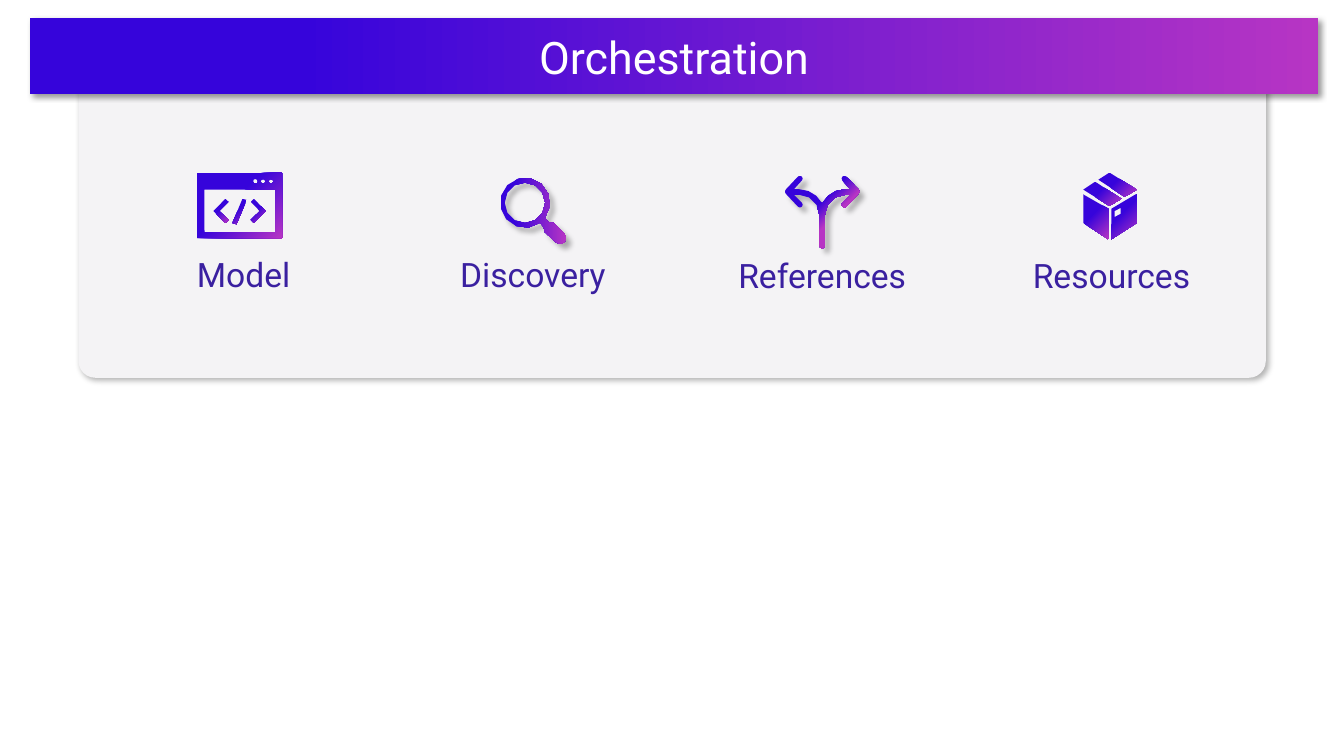
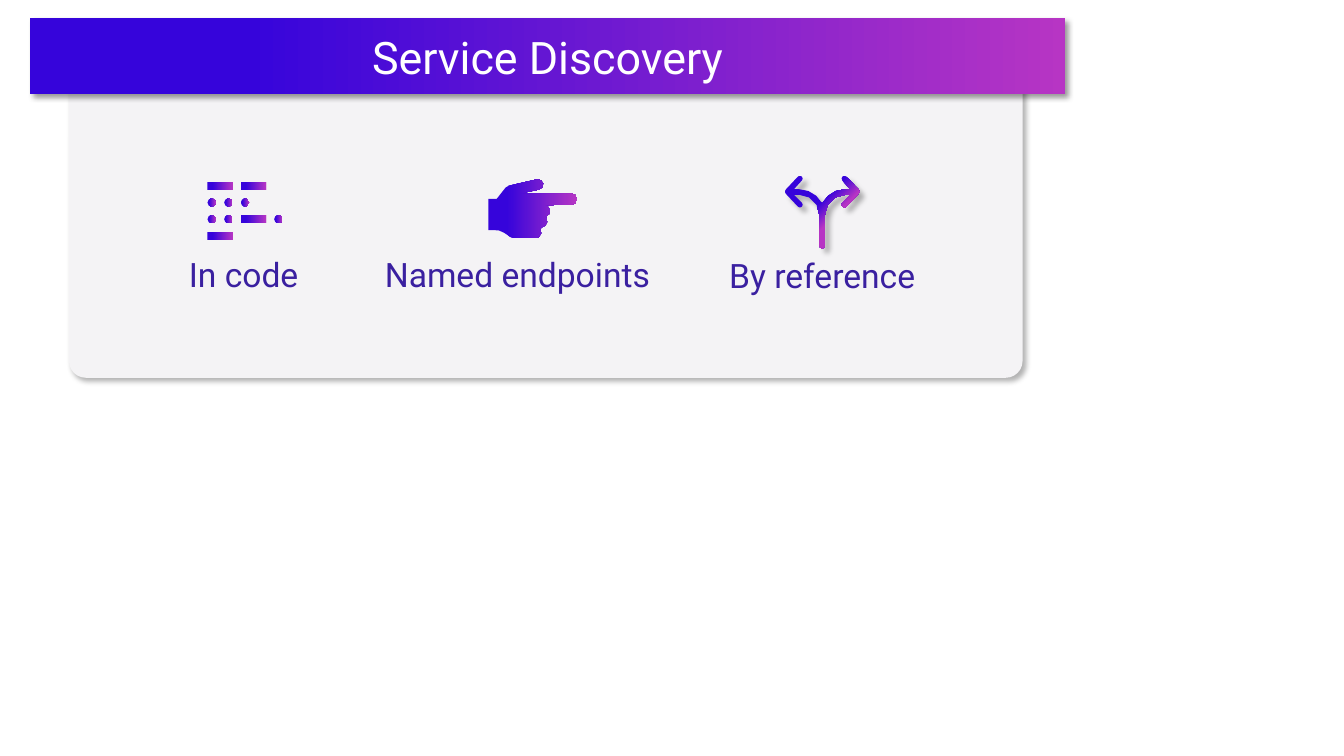
"""Build two slides with a gradient title pill over a panel of labelled icons."""
from dataclasses import dataclass
from math import ceil, cos, radians, sin

from lxml import etree
from pptx import Presentation
from pptx.dml.color import RGBColor
from pptx.enum.shapes import MSO_SHAPE
from pptx.enum.text import MSO_ANCHOR as Anchor, MSO_AUTO_SIZE as AutoSize, PP_ALIGN as Align
from pptx.oxml.ns import qn
from pptx.util import Cm, Pt


@dataclass(frozen=True)
class Theme:
    font: str = "Roboto"
    title_size: int = 32
    label_size: int = 24
    title_color: str = "FFFFFF"
    label_color: str = "3A20A0"
    panel: str = "F4F3F5"
    gradient_start: str = "3604DB"
    gradient_end: str = "B735C4"
    shadow: str = "000000"


theme = Theme()
ACROSS = (0.21, 1, 0)
DIAGONAL = (0.42, 1, 315)
FORKED = (0.42, 0.61, 315)
ICON_SHADOW = (30, 5)


def write(shape, text, *, size, color, anchor=Anchor.TOP, align=Align.CENTER):
    frame = shape.text_frame
    frame.word_wrap = True
    frame.auto_size = AutoSize.NONE
    frame.vertical_anchor = anchor
    frame.text = text
    paragraph = frame.paragraphs[0]
    paragraph.alignment = align
    paragraph.font.name = theme.font
    paragraph.font.size = Pt(size)
    paragraph.font.color.rgb = RGBColor.from_string(color)


def paint(shape, *, gradient=None, shadow=None):
    shape.line.fill.background()
    if gradient:
        start, end, angle = gradient
        shape.fill.gradient()
        shape.fill.gradient_angle = angle
        colors = (theme.gradient_start, theme.gradient_end)
        for stop, position, color in zip(shape.fill.gradient_stops, (start, end), colors):
            stop.position = position
            stop.color.rgb = RGBColor.from_string(color)
    else:
        shape.fill.solid()
        shape.fill.fore_color.rgb = RGBColor.from_string(theme.panel)
    shape.shadow.inherit = False
    if shadow:
        opacity, distance = shadow
        effects = shape.element.spPr.find(qn("a:effectLst"))
        outer = etree.SubElement(
            effects, qn("a:outerShdw"), blurRad=str(Pt(4)), dist=str(Pt(distance)),
            dir=str(45 * 60000), algn="tl", rotWithShape="0")
        shade = etree.SubElement(outer, qn("a:srgbClr"), val=theme.shadow)
        etree.SubElement(shade, qn("a:alpha"), val=str(opacity * 1000))


chevron = [(-0.46, 1.27), (-0.76, 0.97), (-0.46, 0.66), (-0.38, 0.74), (-0.61, 0.97), (-0.38, 1.19)]
mirrored_chevron = [(-0.2 - x, y) for x, y in chevron]
slash = [(-0.28, 1.27), (-0.03, 0.66), (0.08, 0.69), (-0.18, 1.3)]
window = [
    [(-1.17, 0), (-1.17, 1.65), (0.97, 1.65), (0.97, 0)],
    [(-0.99, 0.43), (0.81, 0.43), (0.81, 1.5), (-0.99, 1.5)],
    *[[(x, 0.22, 0.06, 0, 360)] for x in (0.3, 0.49, 0.69)],
]

magnifier = [
    [(-0.2, 0.76, 0.63, 53, 397), (0.38, 1.24), (0.53, 1.27),
     (0.69, 1.65, 0.15, -45, 135), (0.3, 1.5), (0.27, 1.37)],
    [(-0.2, 0.76, 0.51, 0, 360)],
]

fork_right = [
    (0, 1.84, 0.07, 90, 0), (0.58, 1.07, 0.51, 180, 270), (0.71, 0.56),
    (0.56, 0.81, 0.07, 225, 45), (0.87, 0.48, 0.07, 45, -45), (0.56, 0.15, 0.07, -45, -225),
    (0.71, 0.42), (0.58, 1.07, 0.65, 270, 207),
]
fork_left = [
    (-x, y, arc[0], 180 - arc[2], 180 - arc[1]) if arc else (-x, y)
    for x, y, *arc in reversed(fork_right)
]

box_sides = [
    [[(-0.41, 0.23), (-0.71, 0.43), (-0.05, 0.84), (0.25, 0.66)]],
    [[(0.64, 0.43), (-0.05, 0), (-0.33, 0.18), (0.33, 0.61)]],
    [[(-0.71, 0.55), (-0.71, 1.27), (-0.08, 1.68), (-0.08, 0.91)]],
    [[(0, 0.91), (0, 1.68), (0.64, 1.27), (0.64, 0.53)],
     [(0.23, 1.04), (0.08, 1.12), (0.08, 0.97), (0.23, 0.89)]],
]

hand = [
    (-1.12, 0.66), (-0.91, 0.66), (-0.69, 0.38), (-0.61, 0.33), (0.13, 0.3, 0.13, -100, 80),
    (-0.33, 0.53), (0.98, 0.67, 0.14, -90, 90), (0.28, 0.97, 0.15, -90, 70),
    (0.2, 1.22, 0.16, -60, 80), (0.05, 1.5, 0.16, -30, 90), (-0.41, 1.66), (-0.57, 1.62),
    (-0.72, 1.52), (-0.85, 1.46), (-0.97, 1.45), (-1.12, 1.45),
]

code_pitch, code_height, bar_width = 0.42, 0.21, 0.64
code_marks = []
for row, marks in enumerate(("= =", "...", "..= .", "=")):
    for column, mark in enumerate(marks):
        left, top = -0.91 + column * code_pitch, 0.23 + row * code_pitch
        right, bottom, radius = left + bar_width, top + code_height, code_height / 2
        if mark == "=":
            code_marks.append([[(left, top), (right, top), (right, bottom), (left, bottom)]])
        elif mark == ".":
            code_marks.append([[(left + radius, top + radius, radius, 0, 360)]])

icons = {
    "window": ([[chevron], [mirrored_chevron], [slash], window], DIAGONAL, None),
    "magnifier": ([magnifier], ACROSS, ICON_SHADOW),
    "fork": ([[fork_right + fork_left]], FORKED, ICON_SHADOW),
    "box": (box_sides, DIAGONAL, None),
    "code": (code_marks, ACROSS, None),
    "hand": ([[hand]], ACROSS, None),
}

FIRST_CENTER, COLUMN_STEP, ICON_TOP = 6.14, 7.29, 4.35
LABEL_HEIGHT = 1.27
slides = [
    ("Orchestration", 32.46, 1.98, 29.92, [
        ("Model", "window", 0, 5.28, 6.27),
        ("Discovery", "magnifier", 0, 5.28, 6.27),
        ("References", "fork", 0, 5.28, 6.3),
        ("Resources", "box", 0, 5.28, 6.3),
    ]),
    ("Service Discovery", 26.09, 1.74, 24.03, [
        ("In code", "code", 0, 5.28, 6.27),
        ("Named endpoints", "hand", -0.39, 7.44, 6.27),
        ("By reference", "fork", 0, 5.28, 6.3),
    ]),
]

presentation = Presentation()
presentation.slide_width, presentation.slide_height = Cm(33.87), Cm(19.05)
title_only = presentation.slide_layouts[5]

for title_text, title_width, panel_left, panel_width, items in slides:
    slide = presentation.slides.add_slide(title_only)
    shapes = slide.shapes

    panel = shapes.add_shape(
        MSO_SHAPE.ROUNDED_RECTANGLE, Cm(panel_left), Cm(1.09), Cm(panel_width), Cm(8.43))
    panel.adjustments[0] = 0.05
    paint(panel, shadow=(30, 3))

    title = shapes.title
    title.left, title.top, title.width, title.height = Cm(0.76), Cm(0.45), Cm(title_width), Cm(1.93)
    outline = etree.Element(qn("a:prstGeom"), prst="roundRect")
    adjustments = etree.SubElement(outline, qn("a:avLst"))
    etree.SubElement(adjustments, qn("a:gd"), name="adj", fmla="val 50000")
    title.element.spPr.find(qn("a:xfrm")).addnext(outline)
    paint(title, gradient=ACROSS, shadow=(40, 3))
    write(title, title_text, size=theme.title_size, color=theme.title_color, anchor=Anchor.MIDDLE)
    panel.element.addnext(title.element)

    for index, (label_text, icon, label_shift, label_width, label_top) in enumerate(items):
        center = FIRST_CENTER + index * COLUMN_STEP
        pieces, gradient, shadow = icons[icon]
        for contours in pieces:
            builder = None
            for contour in contours:
                points = []
                for x, y, *arc in contour:
                    radius, start, end = arc or (0, 0, 0)
                    sweep = end - start
                    steps = ceil(abs(sweep) / (30 if radius > 0.2 else 45))
                    count = steps if abs(sweep) == 360 else steps + 1
                    for step in range(count):
                        angle = radians(start + sweep * step / max(steps, 1))
                        points.append((Cm(center + x + radius * cos(angle)),
                                       Cm(ICON_TOP + y + radius * sin(angle))))
                if builder is None:
                    builder = shapes.build_freeform(*points[0])
                else:
                    builder.move_to(*points[0])
                builder.add_line_segments(points[1:], close=True)
            paint(builder.convert_to_shape(), gradient=gradient, shadow=shadow)

        label = shapes.add_textbox(
            Cm(center + label_shift - label_width / 2), Cm(label_top),
            Cm(label_width), Cm(LABEL_HEIGHT))
        write(label, label_text, size=theme.label_size, color=theme.label_color)

presentation.save("out.pptx")
